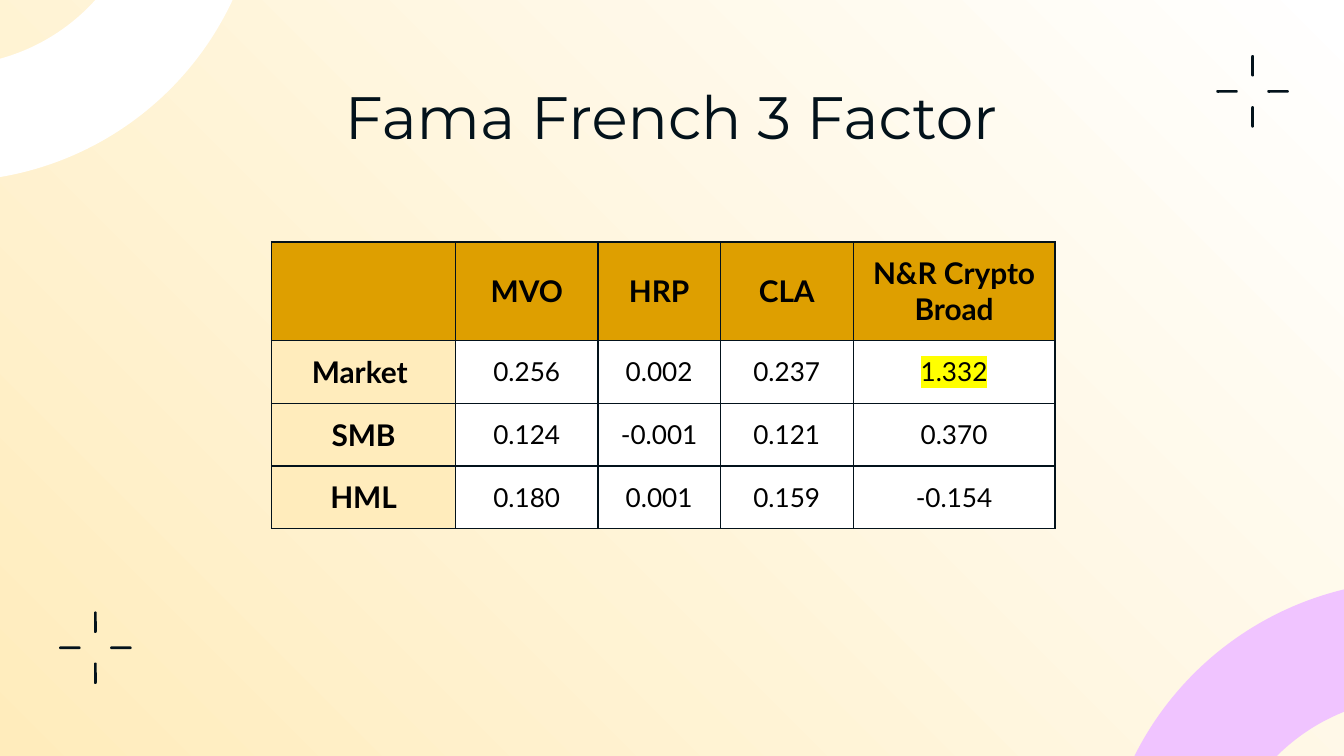
from lxml import etree
from pptx import Presentation
from pptx.dml.color import RGBColor
from pptx.enum.shapes import MSO_SHAPE as Shape
from pptx.enum.text import MSO_ANCHOR as Anchor, PP_ALIGN as Align
from pptx.oxml.ns import qn
from pptx.util import Inches, Pt

INK = RGBColor(0x03, 0x12, 0x1B)
BLACK = RGBColor(0x00, 0x00, 0x00)
WHITE = RGBColor(0xFF, 0xFF, 0xFF)
CREAM = RGBColor(0xFF, 0xEC, 0xBC)
GOLD = RGBColor(0xDE, 0x9F, 0x00)
LILAC = RGBColor(0xF0, 0xC4, 0xFF)
YELLOW = RGBColor(0xFF, 0xFF, 0x00)

ROWS = [
    ["", "MVO", "HRP", "CLA", "N&R Crypto Broad"],
    ["Market ", "0.256", "0.002", "0.237", "1.332"],
    ["SMB", "0.124", "-0.001", "0.121", "0.370"],
    ["HML", "0.180", "0.001", "0.159", "-0.154"],
]
COLUMN_WIDTHS = [1.37, 1.06, 0.91, 0.99, 1.5]
ROW_HEIGHTS = [0.51, 0.43, 0.43, 0.43]
HIGHLIGHTED = (1, 4)


def set_background(slide):
    fill = slide.background.fill
    fill.gradient()
    fill.gradient_angle = 45
    for stop, color in zip(fill.gradient_stops, (CREAM, WHITE)):
        stop.color.rgb = color


def add_plain_shape(slide, kind, left, top, width, height, color):
    shape = slide.shapes.add_shape(
        kind, Inches(left), Inches(top), Inches(width), Inches(height))
    shape.shadow.inherit = False
    shape.fill.solid()
    shape.fill.fore_color.rgb = color
    shape.line.fill.background()
    return shape


def add_ring(slide, left, top, size, color, rotation=0):
    ring = add_plain_shape(slide, Shape.BLOCK_ARC, left, top, size, size, color)
    for index, value in enumerate((54.589, 0.642, 0.184)):
        ring.adjustments[index] = value
    ring.rotation = rotation


def add_spark(slide, center_x, center_y, offset=0.19, length=0.16, thickness=0.02):
    """Four rounded dashes pointing at a common centre."""
    for step_x, step_y in ((-1, 0), (1, 0), (0, -1), (0, 1)):
        width, height = (length, thickness) if step_x else (thickness, length)
        dash = add_plain_shape(
            slide, Shape.ROUNDED_RECTANGLE,
            center_x + step_x * offset - width / 2,
            center_y + step_y * offset - height / 2, width, height, INK)
        dash.adjustments[0] = 0.5


def add_run(paragraph, text, font, size, color, bold=False):
    paragraph.alignment = Align.CENTER
    run = paragraph.add_run()
    run.text = text
    run.font.name = font
    run.font.size = Pt(size)
    run.font.bold = bold
    run.font.color.rgb = color
    return run


def set_margins(target):
    target.margin_left = target.margin_right = Inches(0.1)
    target.margin_top = target.margin_bottom = Inches(0.1)


def add_title(slide, text):
    box = slide.shapes.add_textbox(
        Inches(0.78), Inches(0.49), Inches(8.43), Inches(0.91))
    frame = box.text_frame
    frame.word_wrap = True
    frame.vertical_anchor = Anchor.TOP
    set_margins(frame)
    add_run(frame.paragraphs[0], text, "Montserrat", 32, INK)


def add_solid_fill(parent, color):
    fill = etree.SubElement(parent, qn("a:solidFill"))
    etree.SubElement(fill, qn("a:srgbClr"), val=str(color))


def set_borders(cell):
    properties = cell._tc.get_or_add_tcPr()
    for side in ("a:lnL", "a:lnR", "a:lnT", "a:lnB"):
        line = etree.SubElement(properties, qn(side), w=str(Pt(0.75)))
        add_solid_fill(line, INK)


def highlight(run, color):
    mark = etree.Element(qn("a:highlight"))
    etree.SubElement(mark, qn("a:srgbClr"), val=str(color))
    run.font._element.find(qn("a:solidFill")).addnext(mark)


def fill_cell(cell, text, row, column):
    is_label = row == 0 or column == 0
    set_borders(cell)
    cell.fill.solid()
    cell.fill.fore_color.rgb = GOLD if row == 0 else CREAM if column == 0 else WHITE
    cell.vertical_anchor = Anchor.MIDDLE
    set_margins(cell)
    if text:
        run = add_run(cell.text_frame.paragraphs[0], text, "Lato",
                      16 if is_label else 14, BLACK, is_label)
        if (row, column) == HIGHLIGHTED:
            highlight(run, YELLOW)


def add_factor_table(slide):
    frame = slide.shapes.add_table(
        len(ROWS), len(COLUMN_WIDTHS), Inches(2.02), Inches(1.8),
        Inches(sum(COLUMN_WIDTHS)), Inches(sum(ROW_HEIGHTS)))
    table = frame.table
    table.first_row = table.horz_banding = False
    for column, width in zip(table.columns, COLUMN_WIDTHS):
        column.width = Inches(width)
    for row, height in zip(table.rows, ROW_HEIGHTS):
        row.height = Inches(height)
    for row, texts in enumerate(ROWS):
        for column, text in enumerate(texts):
            fill_cell(table.cell(row, column), text, row, column)
    # Room for the two-line header
    frame.height = Inches(2.13)


def main():
    presentation = Presentation()
    presentation.slide_width = Inches(10)
    presentation.slide_height = Inches(10) * 9 // 16
    slide = presentation.slides.add_slide(presentation.slide_layouts[6])

    # Background and decoration
    set_background(slide)
    add_ring(slide, -2.73, -3.33, 4.68, WHITE, rotation=180)
    add_spark(slide, 0.71, 4.82)
    add_spark(slide, 9.32, 0.68)
    add_ring(slide, 8.19, 4.32, 4.73, LILAC)

    # Content
    add_title(slide, "Fama French 3 Factor")
    add_factor_table(slide)

    presentation.save("out.pptx")


if __name__ == "__main__":
    main()
